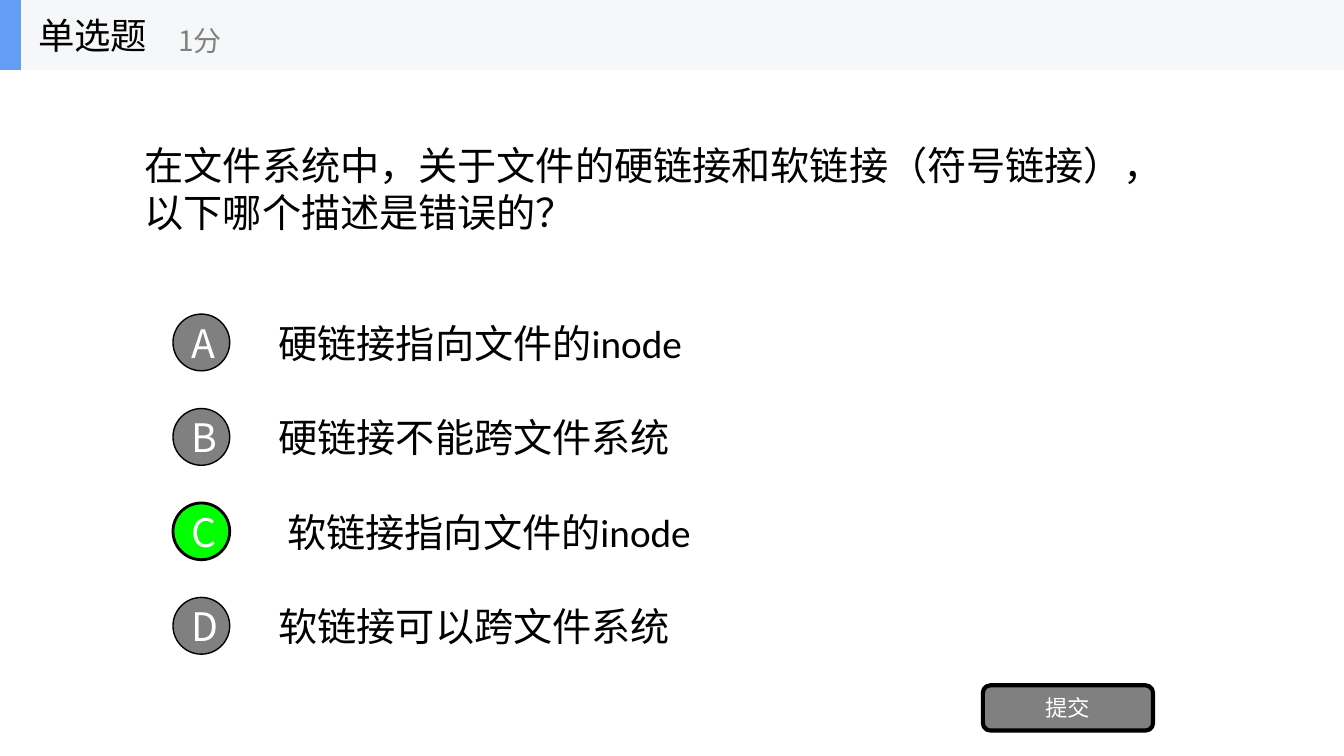
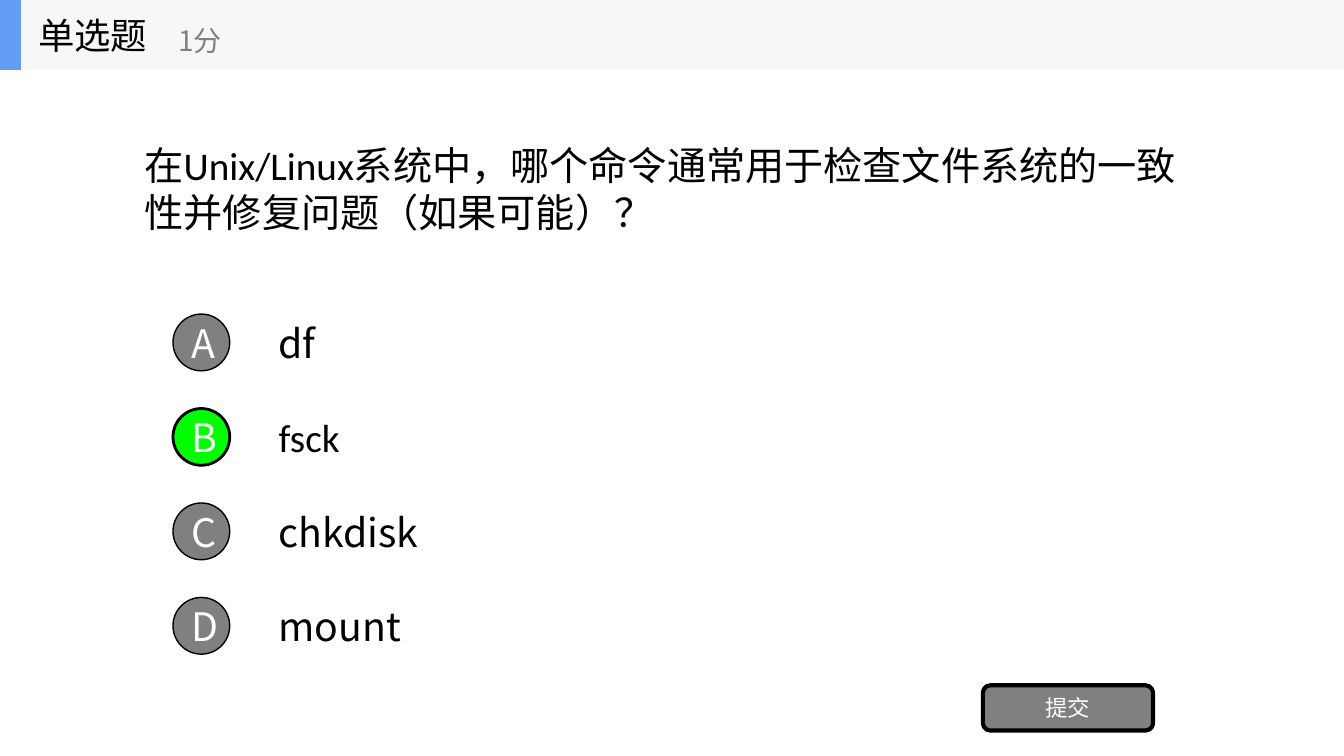
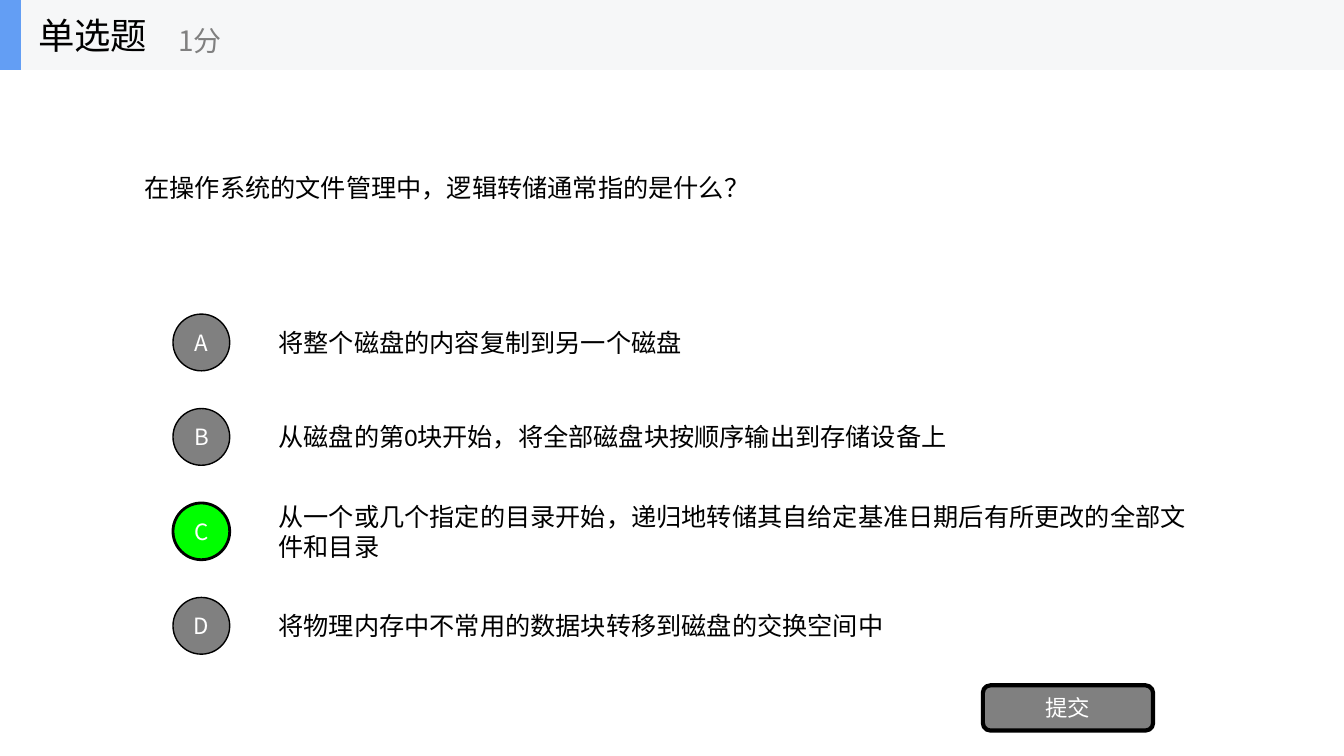
from dataclasses import dataclass

from lxml import etree
from pptx import Presentation
from pptx.dml.color import RGBColor
from pptx.enum.lang import MSO_LANGUAGE_ID
from pptx.enum.shapes import MSO_SHAPE
from pptx.enum.text import MSO_ANCHOR, MSO_AUTO_SIZE, PP_ALIGN
from pptx.oxml.ns import qn
from pptx.util import Cm, Pt

RECTANGLE, ELLIPSE = MSO_SHAPE.RECTANGLE, MSO_SHAPE.OVAL
ROUNDED = MSO_SHAPE.ROUNDED_RECTANGLE
LEFT, CENTER = PP_ALIGN.LEFT, PP_ALIGN.CENTER
MIDDLE, NO_FIT = MSO_ANCHOR.MIDDLE, MSO_AUTO_SIZE.NONE
CHINESE = MSO_LANGUAGE_ID.SIMPLIFIED_CHINESE

# Shared look
BLACK = RGBColor(0x00, 0x00, 0x00)
WHITE = RGBColor(0xFF, 0xFF, 0xFF)
GRAY = RGBColor(0x80, 0x80, 0x80)
CORRECT_GREEN = RGBColor(0x00, 0xFF, 0x00)
BAND_GRAY = RGBColor(0xF6, 0xF7, 0xF8)
BAND_BLUE = RGBColor(0x63, 0x9E, 0xF4)
LATIN, SANS = "Calibri", "Noto Sans CJK SC"

# Layout in centimetres
SLIDE_WIDTH, SLIDE_HEIGHT = 33.87, 19.05
BAND_HEIGHT = 1.76
QUESTION_BOX = (3.39, 1.76, 27.1, 5.95)
OPTION_LEFT, OPTION_TOP = 6.77, 7.74
OPTION_WIDTH, OPTION_HEIGHT, OPTION_PITCH = 23.71, 1.78, 2.38
BADGE_LEFT, BADGE_SIZE = 4.36, 1.43


@dataclass
class Question:
    text: str
    options: list
    correct: str
    size: int = 28
    badge_size: int = 28
    sans_options: str = ""


QUESTIONS = [
    Question(
        "在文件系统中，关于文件的硬链接和软链接（符号链接），以下哪个描述是错误的？",
        ["硬链接指向文件的inode", "硬链接不能跨文件系统",
         " 软链接指向文件的inode", "软链接可以跨文件系统"],
        correct="C"),
    Question(
        "在Unix/Linux系统中，哪个命令通常用于检查文件系统的一致性并修复问题（如果可能）？",
        ["df", "fsck", "chkdisk", "mount"],
        correct="B", sans_options="ACD"),
    Question(
        "在操作系统的文件管理中，逻辑转储通常指的是什么？",
        ["将整个磁盘的内容复制到另一个磁盘",
         "从磁盘的第0块开始，将全部磁盘块按顺序输出到存储设备上",
         "从一个或几个指定的目录开始，递归地转储其自给定基准日期后有所更改的全部文件和目录",
         "将物理内存中不常用的数据块转移到磁盘的交换空间中"],
        correct="C", size=18, badge_size=16),
]


def write_text(shape, text, size, color, font=SANS, align=LEFT):
    """Fill a shape with one vertically centred paragraph."""
    frame = shape.text_frame
    frame_format = {"word_wrap": True, "auto_size": NO_FIT,
                    "vertical_anchor": MIDDLE}
    for name, value in frame_format.items():
        setattr(frame, name, value)
    paragraph = frame.paragraphs[0]
    paragraph.alignment = align
    run = paragraph.add_run()
    run.text = text
    font_format = {"name": font, "size": Pt(size), "language_id": CHINESE}
    for name, value in font_format.items():
        setattr(run.font, name, value)
    run.font.color.rgb = color
    # East Asian characters follow the same font
    east_asian = etree.Element(qn("a:ea"), typeface=font)
    run.font._element.find(qn("a:latin")).addnext(east_asian)


def add_label(shapes, box, text, size, color, font=SANS):
    label = shapes.add_textbox(*map(Cm, box))
    write_text(label, text, size, color, font)


def add_filled(shapes, kind, box, fill, line_width=0):
    shape = shapes.add_shape(kind, *map(Cm, box))
    shape.shadow.inherit = False
    shape.fill.solid()
    shape.fill.fore_color.rgb = fill
    if line_width:
        shape.line.color.rgb = BLACK
        shape.line.width = Pt(line_width)
    else:
        shape.line.fill.background()
    return shape


def add_question(slide, question):
    title = slide.shapes.title
    title.left, title.top, title.width, title.height = map(Cm, QUESTION_BOX)
    write_text(title, question.text, question.size, BLACK, LATIN)


def add_options(slide, question):
    options = list(zip("ABCD", question.options))
    for row, (letter, text) in enumerate(options):
        top = OPTION_TOP + row * OPTION_PITCH
        font = SANS if letter in question.sans_options else LATIN
        add_label(slide.shapes, (OPTION_LEFT, top, OPTION_WIDTH, OPTION_HEIGHT),
                  text, question.size, BLACK, font)

        is_correct = letter == question.correct
        badge_top = top + (OPTION_HEIGHT - BADGE_SIZE) / 2
        badge = add_filled(
            slide.shapes, ELLIPSE,
            (BADGE_LEFT, badge_top, BADGE_SIZE, BADGE_SIZE),
            CORRECT_GREEN if is_correct else GRAY, 2 if is_correct else 1)
        write_text(badge, letter, question.badge_size, WHITE, align=CENTER)


def add_submit_button(slide):
    button = add_filled(slide.shapes, ROUNDED, (24.77, 17.27, 4.29, 1.14), GRAY, 3)
    write_text(button, "提交", 16, WHITE, align=CENTER)


def add_header(slide):
    header = slide.shapes.add_group_shape().shapes
    add_filled(header, RECTANGLE, (0, 0, SLIDE_WIDTH, BAND_HEIGHT), BAND_GRAY)
    add_filled(header, RECTANGLE, (0, 0, 0.53, BAND_HEIGHT), BAND_BLUE)
    add_label(header, (0.71, 0, 5.28, BAND_HEIGHT), "单选题", 26, BLACK)
    add_label(header, (4.24, 0.3, 6.35, 1.43), "1分", 20, GRAY)


def main():
    deck = Presentation()
    deck.slide_width, deck.slide_height = Cm(SLIDE_WIDTH), Cm(SLIDE_HEIGHT)
    title_only = deck.slide_layouts[5]
    for question in QUESTIONS:
        slide = deck.slides.add_slide(title_only)
        add_question(slide, question)
        add_options(slide, question)
        add_submit_button(slide)
        add_header(slide)
    deck.save("out.pptx")


if __name__ == "__main__":
    main()
